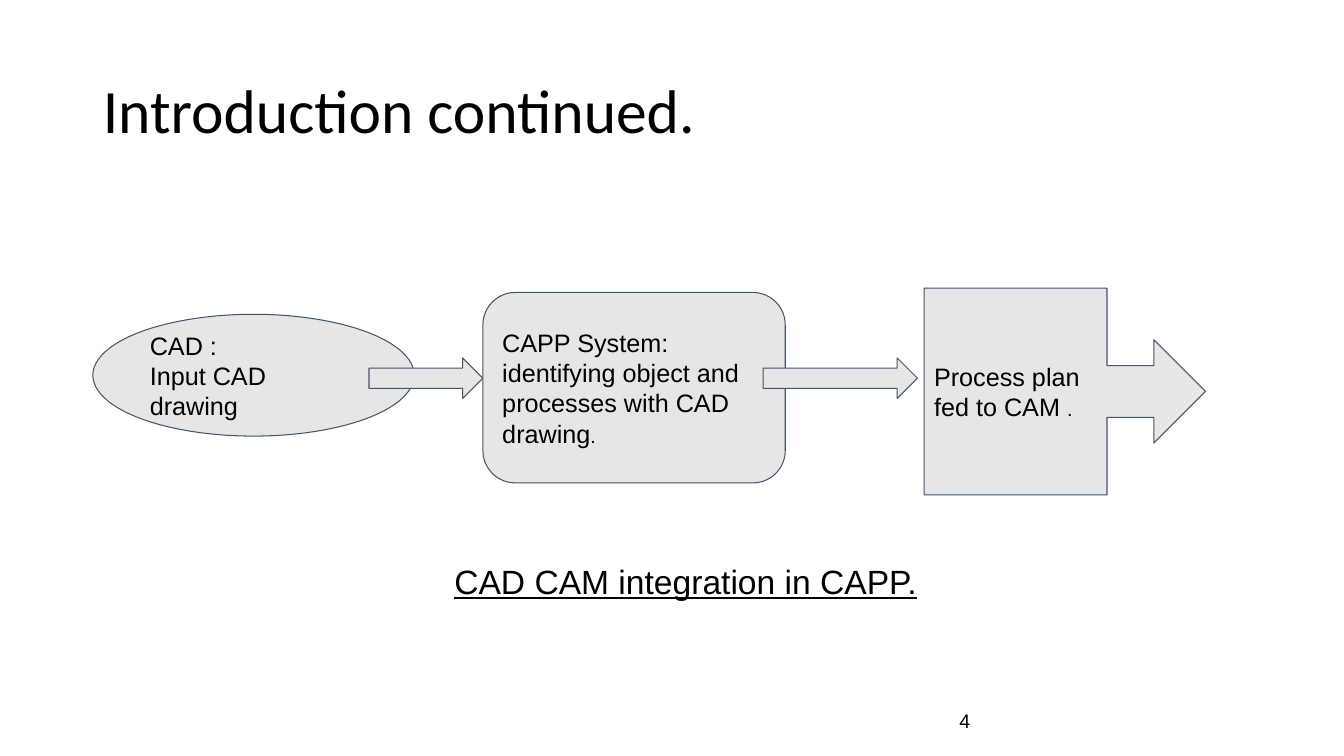
from lxml.etree import SubElement
from pptx import Presentation
from pptx.dml.color import RGBColor
from pptx.enum.shapes import MSO_SHAPE
from pptx.enum.text import MSO_ANCHOR, PP_ALIGN
from pptx.oxml.ns import qn
from pptx.util import Cm, Pt

COLORS = {"text": "000000", "fill": "E7E6E6", "line": "44546A"}
INSET = 0.25


def color(name):
    return RGBColor.from_string(COLORS[name])


def format_run(r, size, font="Arial"):
    r.font.size = Pt(size)
    r.font.name = font
    r.font.color.rgb = color("text")


def set_frame(tf, anchor=MSO_ANCHOR.MIDDLE, inset_y=INSET):
    tf.word_wrap = True
    tf.vertical_anchor = anchor
    tf.margin_left = tf.margin_right = Cm(INSET)
    tf.margin_top = tf.margin_bottom = Cm(inset_y)


def write_lines(tf, lines, size, stop=""):
    """Write one paragraph per line, ending with a smaller full stop if given."""
    tf.text = "\n".join(lines)
    for p in tf.paragraphs:
        p.alignment = PP_ALIGN.LEFT
        for r in p.runs:
            format_run(r, size)
    if stop:
        r = tf.paragraphs[-1].add_run()
        r.text = stop
        format_run(r, 14)


def add_title(s, text):
    sp = s.shapes.title
    sp.left, sp.top, sp.width, sp.height = Cm(2.34), Cm(1.02), Cm(29.21), Cm(3.68)
    tf = sp.text_frame
    set_frame(tf)
    tf.text = text
    p = tf.paragraphs[0]
    p.alignment = PP_ALIGN.LEFT
    p.line_spacing = 0.9
    format_run(p.runs[0], 44, "Calibri")


def add_block(s, kind, box, lines=(), stop="", adjust=()):
    sp = s.shapes.add_shape(kind, *map(Cm, box))
    sp.shadow.inherit = False
    sp.fill.solid()
    sp.fill.fore_color.rgb = color("fill")
    sp.line.color.rgb = color("line")
    sp.line.width = Pt(0.75)
    for i, value in enumerate(adjust):
        sp.adjustments[i] = value
    if lines:
        set_frame(sp.text_frame)
        write_lines(sp.text_frame, lines, 18, stop)


def add_arrow(s, left, width):
    add_block(s, MSO_SHAPE.RIGHT_ARROW, (left, 9.02, width, 1.02))


def add_label(s, box, text, size, anchor, inset_y=INSET):
    tf = s.shapes.add_textbox(*map(Cm, box)).text_frame
    set_frame(tf, anchor, inset_y)
    write_lines(tf, [text], size)
    return tf.paragraphs[0].runs[0]


def main():
    prs = Presentation()
    prs.slide_width, prs.slide_height = Cm(33.87), Cm(19.05)
    s = prs.slides.add_slide(prs.slide_layouts[5])

    # Title and page number
    add_title(s, "Introduction continued.")
    add_label(s, (23.93, 17.65, 7.62, 1.02), "4", 14, MSO_ANCHOR.MIDDLE, 0.13)

    # Process flow: CAD, CAPP, CAM
    add_block(s, MSO_SHAPE.OVAL, (2.34, 7.92, 8.1, 3.07),
              ["CAD :", "Input CAD drawing"])
    add_arrow(s, 9.3, 2.87)
    add_block(s, MSO_SHAPE.ROUNDED_RECTANGLE, (12.17, 7.37, 7.62, 4.8),
              ["CAPP System:", "identifying object and processes with CAD drawing"],
              ".", [0.17])
    add_arrow(s, 19.23, 3.89)
    add_block(s, MSO_SHAPE.RIGHT_ARROW_CALLOUT, (23.29, 7.26, 7.09, 5.21),
              ["Process plan fed to CAM "], ".", [0.25, 0.25, 0.25, 0.65])

    # Caption
    r = add_label(s, (11.2, 13.89, 15.93, 2.06), "CAD CAM integration in CAPP.",
                  24, MSO_ANCHOR.TOP)
    r.font.underline = True

    prs.save("out.pptx")


if __name__ == "__main__":
    main()
